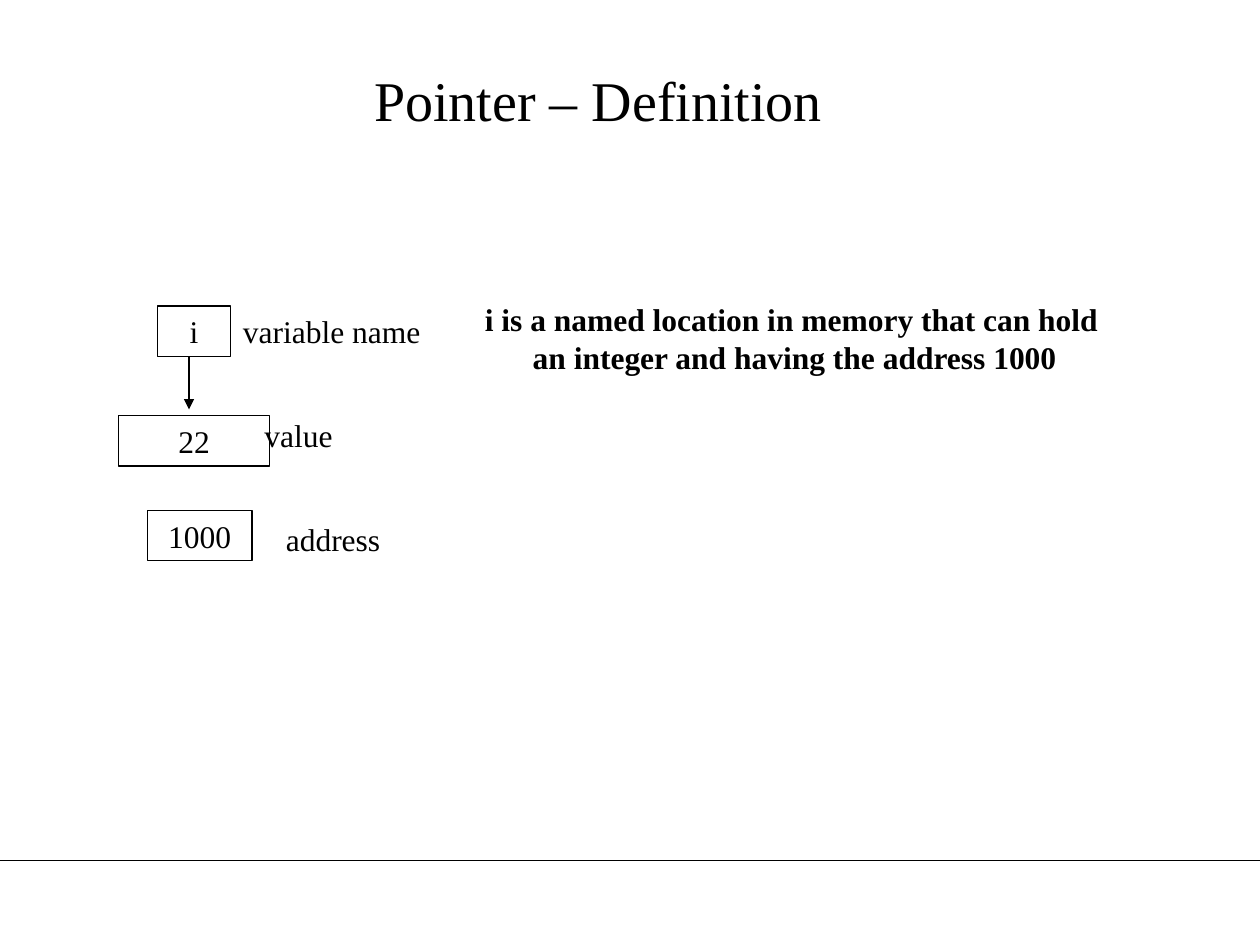
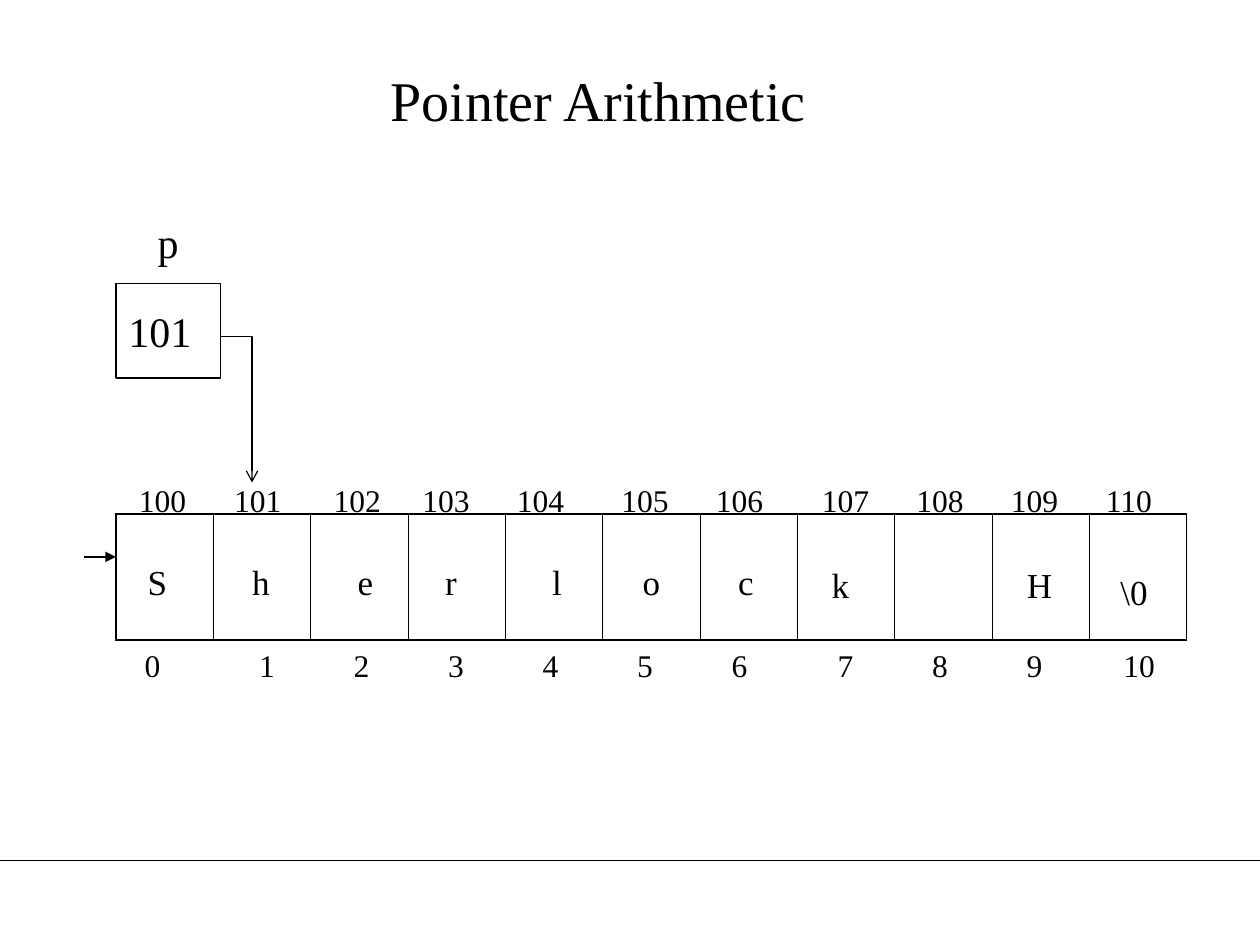
"""Build two slides on pointers: a definition and pointer arithmetic."""
from dataclasses import dataclass

from lxml import etree
from pptx import Presentation
from pptx.dml.color import RGBColor
from pptx.enum.shapes import MSO_CONNECTOR, MSO_SHAPE
from pptx.enum.text import MSO_ANCHOR, PP_ALIGN
from pptx.oxml.ns import qn
from pptx.slide import Slide
from pptx.util import Inches, Pt

BLACK = RGBColor(0x00, 0x00, 0x00)
FONT = "Times New Roman"
LINE = Pt(0.75)
STRAIGHT = MSO_CONNECTOR.STRAIGHT
RECT = MSO_SHAPE.RECTANGLE
LEFT, CENTER = PP_ALIGN.LEFT, PP_ALIGN.CENTER
TOP, MIDDLE = MSO_ANCHOR.TOP, MSO_ANCHOR.MIDDLE


@dataclass(frozen=True)
class Label:
    """Text at a place, with an outline if boxed."""
    text: str
    left: float
    top: float
    width: float
    height: float = 0.4
    size: int = 18
    align: PP_ALIGN = CENTER
    anchor: MSO_ANCHOR = TOP
    boxed: bool = False
    bold: bool = False
    hang: float = 0


@dataclass(frozen=True)
class Link:
    """A straight line with an optional arrowhead at its end."""
    x1: float
    y1: float
    x2: float
    y2: float
    head: str = ""


@dataclass(frozen=True)
class Row:
    """A row of centred marks along the array."""
    marks: list[str]
    lefts: list[float]
    tops: list[float]
    widths: list[float]
    height: float = 0.4
    size: int = 18


RULE = Link(0, 6.83, 10, 6.83)

NAMES = [
    Label("i", 1.25, 2.43, 0.58, anchor=MIDDLE, boxed=True),
    Label("22", 0.94, 3.3, 1.2, anchor=MIDDLE, boxed=True),
    Label("1000", 1.17, 4.05, 0.83, anchor=MIDDLE, boxed=True),
    Label("i is a named location in memory that can hold an integer "
          "and having the address 1000", 3.75, 2.33, 5.33, 0.7,
          align=LEFT, bold=True, hang=0.38),
    Label("variable name", 1.83, 2.43, 1.75, align=LEFT),
    Label("value", 2, 3.25, 1.75, align=LEFT),
    Label("address", 2.17, 4.08, 1.75, align=LEFT),
]

POINTER = [
    Label("p", 0.67, 1.67, 1.33, 0.5, 24),
    Label("101", 0.92, 2.25, 0.83, 0.75, 24, LEFT, MIDDLE, boxed=True),
]

COUNT = 11
ROWS = [
    Row([str(n) for n in range(COUNT)],
        [0.92, 1.83, 2.58, 3.33, 4.08, 4.83, 5.58, 6.42, 7.17, 7.92, 8.75],
        [5.08] * COUNT, [0.58] * COUNT),
    Row([str(100 + n) for n in range(COUNT)],
        [1, 1.67, 2.5, 3.25, 4, 4.83, 5.58, 6.42, 7.17, 7.92, 8.67],
        [3.77] * COUNT, [0.58, 0.75, 0.67] + [0.58] * (COUNT - 3)),
    Row([*"Sherlock", "H", "\\0"],
        [1, 1.82, 2.65, 3.33, 4.17, 4.92, 5.67, 6.42, 8, 8.75],
        [4.4] * 7 + [4.42, 4.42, 4.48], [0.5] * 10, 0.44, 20),
]

LINKS = [
    Link(2, 2.67, 2, 3.83, "arrow"),
    Link(0.67, 4.42, 0.92, 4.42, "triangle"),
    Link(1.75, 2.67, 2, 2.67),
]


def add_label(slide: Slide, label: Label) -> None:
    """Draw one label."""
    place = [Inches(n) for n in
             (label.left, label.top, label.width, label.height)]
    if label.boxed:
        shape = slide.shapes.add_shape(RECT, *place)
        shape.shadow.inherit = False
        shape.fill.background()
        shape.line.color.rgb = BLACK
        shape.line.width = LINE
    else:
        shape = slide.shapes.add_textbox(*place)
    frame = shape.text_frame
    frame.word_wrap = True
    frame.vertical_anchor = label.anchor
    para = frame.paragraphs[0]
    para.text = label.text
    para.alignment = label.align
    if label.hang:
        props = para._p.get_or_add_pPr()
        props.set("marL", str(Inches(label.hang)))
        props.set("indent", str(-Inches(label.hang)))
    font = para.font
    font.name = FONT
    font.size = Pt(label.size)
    font.bold = label.bold
    font.color.rgb = BLACK


def add_link(slide: Slide, link: Link) -> None:
    """Draw one line or arrow."""
    ends = [Inches(n) for n in (link.x1, link.y1, link.x2, link.y2)]
    line = slide.shapes.add_connector(STRAIGHT, *ends)
    line.line.color.rgb = BLACK
    line.line.width = LINE
    if link.head:
        stroke = line.line._get_or_add_ln()
        etree.SubElement(stroke, qn("a:tailEnd"), type=link.head)
    etree.SubElement(line._element.spPr, qn("a:effectLst"))


def add_row(slide: Slide, row: Row) -> None:
    """Draw a row of marks."""
    for mark, left, top, width in zip(row.marks, row.lefts, row.tops,
                                      row.widths):
        add_label(slide, Label(mark, left, top, width, row.height, row.size))


def add_array(slide: Slide) -> None:
    """Draw the array as a table of empty cells."""
    frame = slide.shapes.add_table(1, COUNT, Inches(0.92), Inches(4.08),
                                   Inches(8.5), Inches(1))
    table = frame.table
    table.first_row = table.horz_banding = False
    for col in range(COUNT):
        table.columns[col].width = Inches(8.5 / COUNT)
        cell = table.cell(0, col)
        cell.fill.background()
        sides = {
            "L": 1.08 if col == 0 else 0.45,
            "R": 1.08 if col == COUNT - 1 else 0.45,
            "T": 1.08,
            "B": 1.08,
        }
        props = cell._tc.get_or_add_tcPr()
        for spot, (side, width) in enumerate(sides.items()):
            edge = etree.Element(qn(f"a:ln{side}"), w=str(Pt(width)))
            fill = etree.SubElement(edge, qn("a:solidFill"))
            etree.SubElement(fill, qn("a:srgbClr"), val=str(BLACK))
            props.insert(spot, edge)


def add_page(deck: Presentation, title: str) -> Slide:
    """Add a slide with the shared rule and title."""
    slide = deck.slides.add_slide(deck.slide_layouts[6])
    add_link(slide, RULE)
    add_label(slide, Label(title, 0.5, 0.25, 8.5, 1.08, 32, anchor=MIDDLE))
    return slide


def main() -> None:
    """Build and save the deck."""
    deck = Presentation()
    deck.slide_width, deck.slide_height = Inches(10), Inches(7.5)

    page = add_page(deck, "Pointer – Definition")
    for label in NAMES:
        add_label(page, label)
    add_link(page, Link(1.5, 2.83, 1.5, 3.25, "triangle"))

    page = add_page(deck, "Pointer Arithmetic")
    add_array(page)
    for label in POINTER:
        add_label(page, label)
    for row in ROWS:
        add_row(page, row)
    for link in LINKS:
        add_link(page, link)

    deck.save("out.pptx")


if __name__ == "__main__":
    main()
